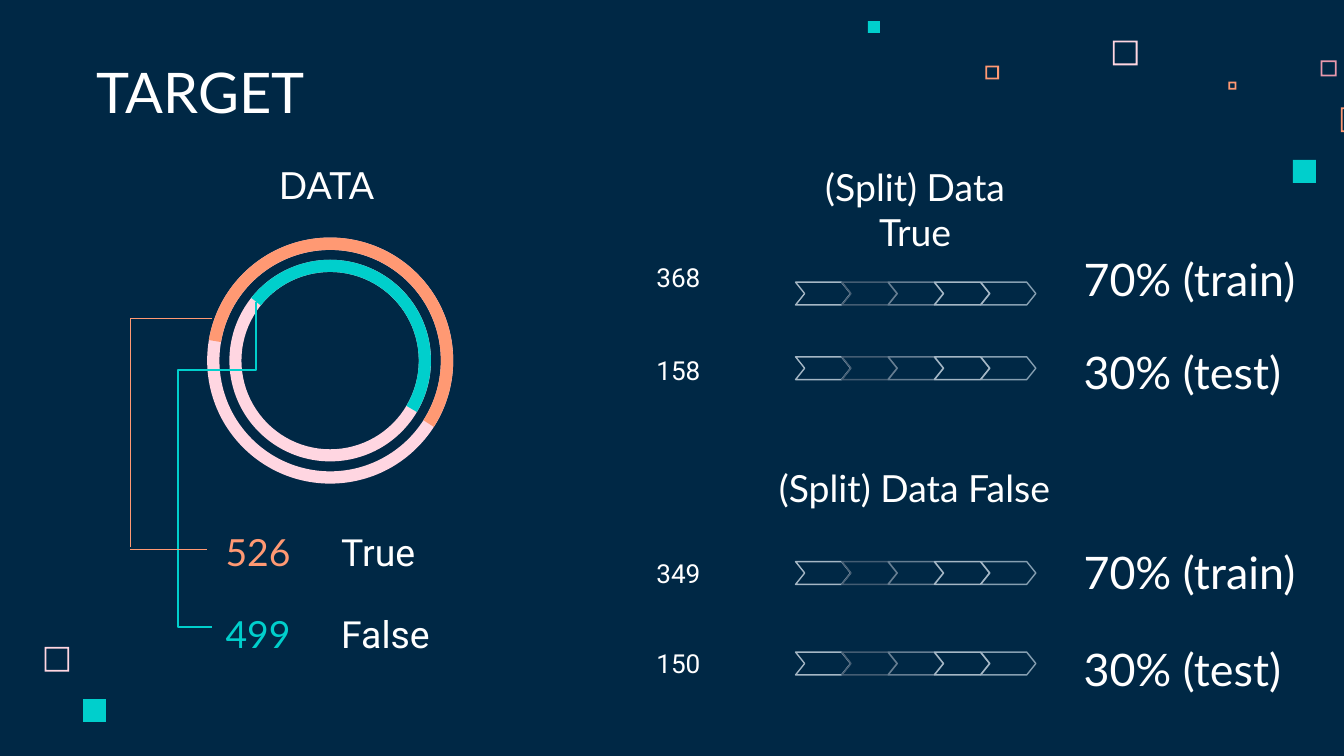
from dataclasses import dataclass

from lxml.etree import SubElement
from pptx import Presentation
from pptx.dml.color import RGBColor
from pptx.enum.shapes import MSO_CONNECTOR, MSO_SHAPE
from pptx.enum.text import MSO_ANCHOR, PP_ALIGN
from pptx.oxml.ns import qn
from pptx.util import Pt


@dataclass(frozen=True)
class Theme:
    navy: str = "002845"
    white: str = "FFFFFF"
    orange: str = "FF9973"
    teal: str = "00CFCC"
    pink: str = "FFD6E1"
    rose: str = "E898AC"
    chevrons: tuple = ("A5B7C5", "445D73", "667E92", "A5B7C5", "869FB1")
    heading_font: str = "Lato"
    label_font: str = "Roboto"
    title_size: int = 30
    share_size: int = 24
    body_size: int = 20
    count_size: int = 14
    line_width: float = 0.75
    inset: float = 7.2


theme = Theme()


def add_text(text, left, top, width, size, font=theme.heading_font, color=theme.white,
             align=PP_ALIGN.LEFT, anchor=MSO_ANCHOR.TOP, height=30.96):
    box = slide.shapes.add_textbox(Pt(left), Pt(top), Pt(width), Pt(height))
    frame = box.text_frame
    frame.word_wrap = True
    frame.vertical_anchor = anchor
    frame.margin_left = frame.margin_right = Pt(theme.inset)
    frame.margin_top = frame.margin_bottom = Pt(theme.inset)
    paragraph = frame.paragraphs[0]
    paragraph.text = text
    paragraph.alignment = align
    paragraph.font.name = font
    paragraph.font.size = Pt(size)
    paragraph.font.color.rgb = RGBColor.from_string(color)


def add_preset(shapes, preset, left, top, width, height, adjustments=(), fill=None, line=None):
    shape = shapes.add_shape(preset, Pt(left), Pt(top), Pt(width), Pt(height))
    shape.shadow.inherit = False
    for index, value in enumerate(adjustments):
        shape.adjustments[index] = value
    if fill:
        shape.fill.solid()
        shape.fill.fore_color.rgb = RGBColor.from_string(fill)
    else:
        shape.fill.background()
    if line:
        shape.line.color.rgb = RGBColor.from_string(line)
        shape.line.width = Pt(theme.line_width)
    else:
        shape.line.fill.background()


presentation = Presentation()
presentation.slide_width, presentation.slide_height = Pt(720), Pt(405)
slide = presentation.slides.add_slide(presentation.slide_layouts[6])
slide.background.fill.solid()
slide.background.fill.fore_color.rgb = RGBColor.from_string(theme.navy)

# Scattered squares: hollow, then solid
frame_thickness = 0.95
for left, top, side, color in [
    (596.2, 21.8, 13.2, theme.pink),
    (707.5, 32.3, 8.6, theme.rose),
    (658.1, 43.8, 4.3, theme.orange),
    (718.3, 57.6, 13.2, theme.orange),
    (527.9, 35.2, 7.3, theme.orange),
    (23.9, 346.6, 13.2, theme.pink),
]:
    add_preset(slide.shapes, MSO_SHAPE.FRAME, left, top, side, side,
               [frame_thickness / side], fill=color)
for left, top, side in [(692.7, 85.7, 12.3), (465, 11.3, 6.4), (44.5, 374.5, 12.3)]:
    add_preset(slide.shapes, MSO_SHAPE.RECTANGLE, left, top, side, side, fill=theme.teal)

# Title and section headings
add_text("TARGET", 44.64, 28.8, 372.24, theme.title_size, anchor=MSO_ANCHOR.BOTTOM, height=45.36)
for heading, left, top, width in [
    ("DATA", 100.8, 79.92, 148.32),
    ("(Split) Data True", 416.16, 80.64, 148.32),
    ("(Split) Data False", 404.64, 241.92, 170.64),
]:
    add_text(heading, left, top, width, theme.body_size, align=PP_ALIGN.CENTER)

# Concentric rings, each with a coloured arc
center_x, center_y = 176.9, 193.2
for diameter, start, end, thickness, color in [
    (131.8, 113.77, 19.57, 0.05, theme.orange),
    (108, 131.09, 18.4, 0.06, theme.teal),
]:
    box = (center_x - diameter / 2, center_y - diameter / 2, diameter, diameter)
    add_preset(slide.shapes, MSO_SHAPE.DONUT, *box, [thickness], fill=theme.pink)
    add_preset(slide.shapes, MSO_SHAPE.BLOCK_ARC, *box, [start, end, thickness], fill=color)

# Legend
for count, label, top, color in [
    ("526", "True", 276.48, theme.orange),
    ("499", "False", 320.4, theme.teal),
]:
    add_text(count, 113.76, top, 66.24, theme.body_size, color=color)
    add_text(label, 175.68, top, 95.04, theme.body_size, theme.label_font)

# Leader lines from the rings to the legend
for kind, x1, y1, x2, y2, color in [
    (MSO_CONNECTOR.ELBOW, 38.2, 236.9, 212.4, 260.6, theme.teal),
    (MSO_CONNECTOR.STRAIGHT, 69.8, 293, 69.8, 170.6, theme.orange),
    (MSO_CONNECTOR.STRAIGHT, 110.9, 294.5, 69.8, 294.5, theme.orange),
    (MSO_CONNECTOR.STRAIGHT, 113.8, 170.6, 69.8, 170.6, theme.orange),
]:
    connector = slide.shapes.add_connector(kind, Pt(x1), Pt(y1), Pt(x2), Pt(y2))
    connector.line.color.rgb = RGBColor.from_string(color)
    connector.line.width = Pt(theme.line_width)
    properties = connector.element.spPr
    SubElement(properties, qn("a:effectLst"))
    if kind == MSO_CONNECTOR.ELBOW:
        # Quarter turn and a three-bend route
        properties.find(qn("a:xfrm")).set("rot", "5400000")
        geometry = properties.find(qn("a:prstGeom"))
        geometry.set("prst", "bentConnector4")
        guides = geometry.find(qn("a:avLst"))
        if guides is None:
            guides = SubElement(geometry, qn("a:avLst"))
        for name, value in [("adj1", 21000), ("adj2", 176700)]:
            SubElement(guides, qn("a:gd"), name=name, fmla=f"val {value}")

# Split rows: count, chevron strip, share
chevron_pitch, chevron_width, chevron_height = 24.8, 29.5, 12.2
for count, share, count_top, strip_top, share_top in [
    ("368", "70% (train)", 133.2, 151.2, 133.92),
    ("158", "30% (test)", 182.88, 191.2, 183.6),
    ("349", "70% (train)", 291.6, 300.9, 290.88),
    ("150", "30% (test)", 339.84, 349.4, 342.72),
]:
    add_text(count, 287.28, count_top, 95.04, theme.count_size, theme.label_font,
             align=PP_ALIGN.RIGHT, anchor=MSO_ANCHOR.MIDDLE)
    strip = slide.shapes.add_group_shape()
    for index in (0, 1, 2, 4, 3):
        add_preset(strip.shapes, MSO_SHAPE.CHEVRON, 426.2 + index * chevron_pitch, strip_top,
                   chevron_width, chevron_height, [0.4], line=theme.chevrons[index])
    add_text(share, 573.4, share_top, 132.48, theme.share_size, anchor=MSO_ANCHOR.MIDDLE)

presentation.save("out.pptx")
